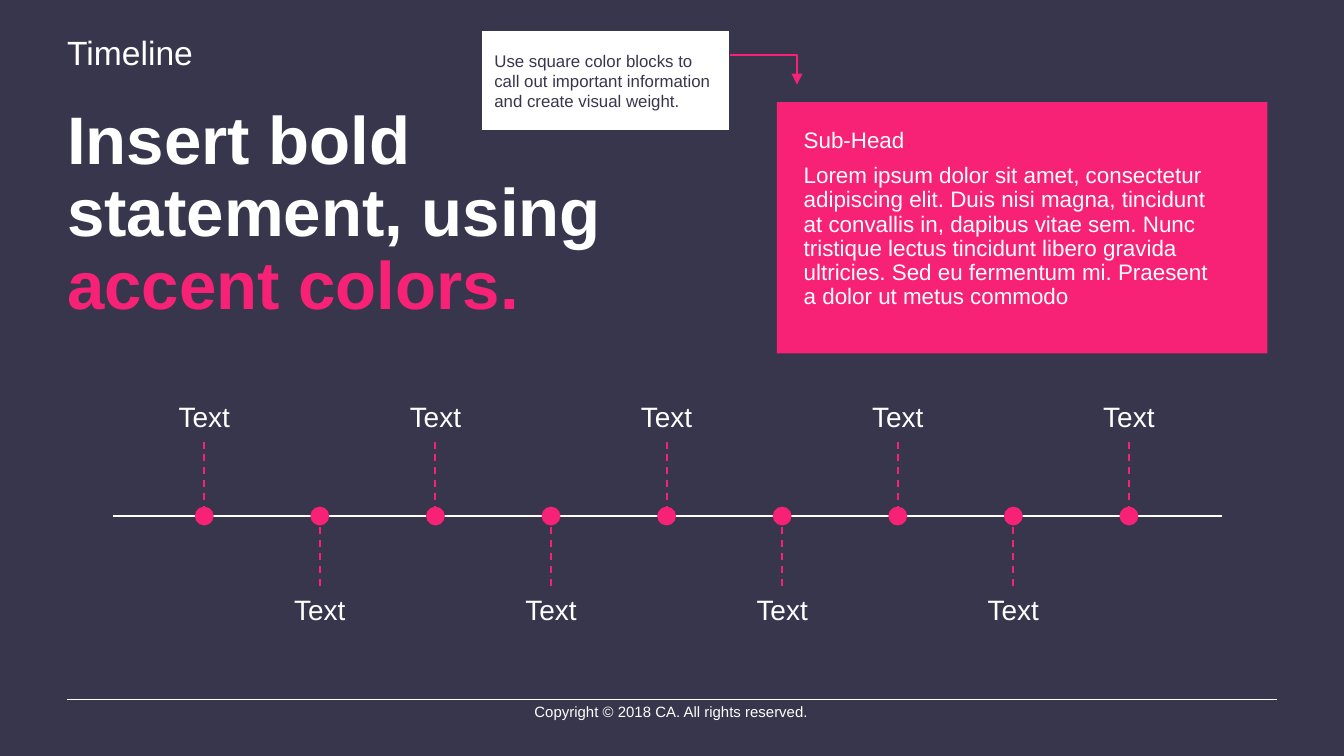
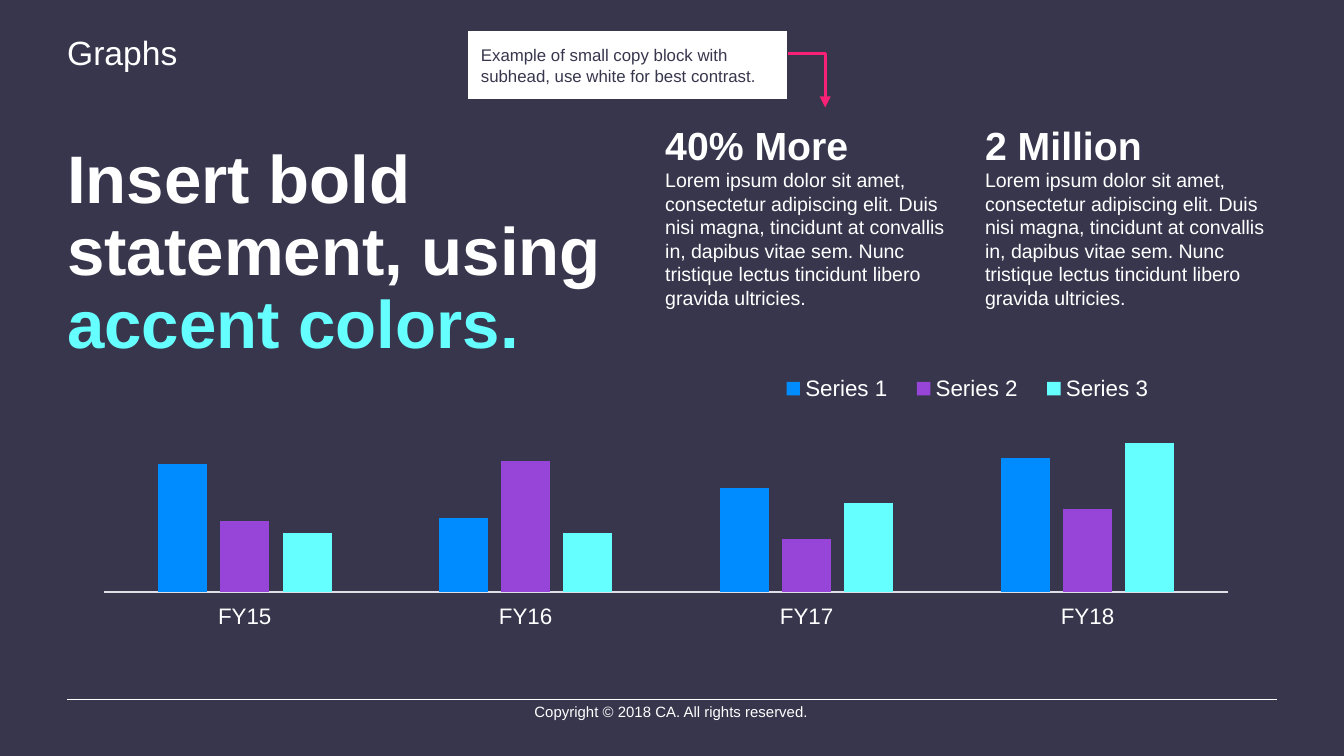
from lxml import etree
from pptx import Presentation
from pptx.chart.data import CategoryChartData
from pptx.dml.color import RGBColor
from pptx.enum.chart import XL_CHART_TYPE, XL_LEGEND_POSITION, XL_TICK_LABEL_POSITION, XL_TICK_MARK
from pptx.enum.dml import MSO_LINE
from pptx.enum.shapes import MSO_CONNECTOR, MSO_SHAPE
from pptx.enum.text import MSO_ANCHOR, MSO_AUTO_SIZE, PP_ALIGN
from pptx.oxml.ns import qn
from pptx.util import Inches, Pt

COLUMNS = XL_CHART_TYPE.COLUMN_CLUSTERED
CORNER = XL_LEGEND_POSITION.CORNER
LOW_LABELS = XL_TICK_LABEL_POSITION.LOW
NO_TICKS = XL_TICK_MARK.NONE
DASH = MSO_LINE.DASH
STRAIGHT, ELBOW = MSO_CONNECTOR.STRAIGHT, MSO_CONNECTOR.ELBOW
RECTANGLE, OVAL = MSO_SHAPE.RECTANGLE, MSO_SHAPE.OVAL
TOP, MIDDLE, BOTTOM = MSO_ANCHOR.TOP, MSO_ANCHOR.MIDDLE, MSO_ANCHOR.BOTTOM
GROW, FIXED = MSO_AUTO_SIZE.SHAPE_TO_FIT_TEXT, MSO_AUTO_SIZE.NONE
LEFT, CENTER = PP_ALIGN.LEFT, PP_ALIGN.CENTER

FONT = "Arial"
COLORS = {
    "background": "38364D",
    "white": "FFFFFF",
    "pink": "F72175",
    "cyan": "66FFFF",
    "blue": "008CFF",
    "purple": "9745D8",
    "axis": "DEDEE8",
}
TITLE_ONLY_LAYOUT = 5
LOREM = ("Lorem ipsum dolor sit amet, consectetur adipiscing elit. Duis nisi magna, "
         "tincidunt at convallis in, dapibus vitae sem. Nunc tristique lectus "
         "tincidunt libero gravida ultricies.")
CARD_TEXT = ("Lorem ipsum dolor sit amet, consectetur adipiscing elit. Duis nisi magna, "
             "tincidunt\nat convallis in, dapibus vitae sem. Nunc tristique lectus "
             "tincidunt libero gravida ultricies. Sed eu fermentum mi. Praesent\n"
             "a dolor ut metus commodo")


def color(name):
    return RGBColor.from_string(COLORS[name])


def set_font(font, size, color_name="white", bold=False):
    font.name, font.size, font.bold = FONT, Pt(size), bold
    font.color.rgb = color(color_name)


def set_chart_layout(element, index, x, y, width, height, inner=False):
    """Place a plot area or legend by fractions of the chart frame."""
    for old in element.findall(qn("c:layout")):
        element.remove(old)
    layout = etree.Element(qn("c:layout"))
    manual = etree.SubElement(layout, qn("c:manualLayout"))
    settings = [("xMode", "edge"), ("yMode", "edge"),
                ("x", x), ("y", y), ("w", width), ("h", height)]
    if inner:
        settings.insert(0, ("layoutTarget", "inner"))
    for tag, value in settings:
        etree.SubElement(manual, qn(f"c:{tag}")).set("val", str(value))
    element.insert(index, layout)


def no_fill_properties():
    properties = etree.Element(qn("c:spPr"))
    etree.SubElement(properties, qn("a:noFill"))
    line = etree.SubElement(properties, qn("a:ln"))
    etree.SubElement(line, qn("a:noFill"))
    return properties


class Deck:
    """Holds the shared style and the slide being built."""

    def __init__(self):
        self.presentation = Presentation()
        self.presentation.slide_width = Inches(10)
        self.presentation.slide_height = Inches(10) * 9 // 16
        fill = self.presentation.slide_master.background.fill
        fill.solid()
        fill.fore_color.rgb = color("background")
        self.slide = None

    def start_slide(self, topic, title_top, accent):
        layout = self.presentation.slide_layouts[TITLE_ONLY_LAYOUT]
        self.slide = self.presentation.slides.add_slide(layout)
        self.line((0.5, 5.2), (9.5, 5.2), "white", 0.25)
        self.text((3.89, 5.19, 2.21, 0.22), [("Copyright © 2018 CA. All rights reserved.", 8, False)],
                  insets=(0.04,) * 4, align=CENTER, grow=True, wrap=False)
        self.text((0.5, 0.24, 8.99, 0.3), [(topic, 18, False)], insets=(0, 0, 0.1, 0), grow=True)
        self.title(title_top, accent)

    def title(self, top, accent):
        title = self.slide.shapes.title
        self.place(title, (0.5, top, 4.5, 1.19))
        self.set_frame(title.text_frame, (0, 0.05, 0.1, 0.05), TOP, grow=True)
        paragraph = title.text_frame.paragraphs[0]
        paragraph.alignment = LEFT
        paragraph.line_spacing = 0.9
        for text, color_name in (("Insert bold statement, using ", "white"), ("accent colors.", accent)):
            run = paragraph.add_run()
            run.text = text
            set_font(run.font, 36, color_name, bold=True)

    @staticmethod
    def place(shape, box):
        shape.left, shape.top, shape.width, shape.height = map(Inches, box)

    @staticmethod
    def set_frame(frame, insets, anchor, grow=False, wrap=True):
        frame.margin_left, frame.margin_top, frame.margin_right, frame.margin_bottom = map(Inches, insets)
        frame.vertical_anchor = anchor
        frame.word_wrap = wrap
        frame.auto_size = GROW if grow else FIXED

    @staticmethod
    def fill_text(frame, lines, color_name="white", align=LEFT):
        """Write (text, size, bold) tuples, one paragraph each."""
        for index, (text, size, bold) in enumerate(lines):
            paragraph = frame.add_paragraph() if index else frame.paragraphs[0]
            paragraph.text = text
            paragraph.alignment = align
            for run in paragraph.runs:
                set_font(run.font, size, color_name, bold)

    def text(self, box, lines, insets, anchor=TOP, align=LEFT, grow=False, wrap=True):
        frame = self.slide.shapes.add_textbox(*map(Inches, box)).text_frame
        self.set_frame(frame, insets, anchor, grow, wrap)
        self.fill_text(frame, lines, align=align)

    def shape(self, kind, box, fill):
        shape = self.slide.shapes.add_shape(kind, *map(Inches, box))
        shape.shadow.inherit = False
        shape.fill.solid()
        shape.fill.fore_color.rgb = color(fill)
        shape.line.fill.background()
        return shape

    def callout(self, box, text):
        block = self.shape(RECTANGLE, box, "white")
        block.line.color.rgb = color("background")
        block.line.width = Pt(0.5)
        self.set_frame(block.text_frame, (0.1, 0.05, 0.1, 0.05), MIDDLE)
        self.fill_text(block.text_frame, [(text, 9, False)], "background")

    def card(self, box, lines):
        card = self.shape(RECTANGLE, box, "pink")
        self.set_frame(card.text_frame, (0.2,) * 4, TOP, grow=True)
        self.fill_text(card.text_frame, lines)
        for paragraph in card.text_frame.paragraphs:
            paragraph.line_spacing = 0.9
            paragraph.space_after = Pt(6)

    def line(self, start, end, color_name, width, dashed=False, kind=STRAIGHT):
        connector = self.slide.shapes.add_connector(kind, *map(Inches, start + end))
        connector.line.color.rgb = color(color_name)
        connector.line.width = Pt(width)
        if dashed:
            connector.line.dash_style = DASH
        etree.SubElement(connector.element.spPr, qn("a:effectLst"))
        return connector

    def elbow_arrow(self, start, end):
        """Draw an arrow that runs right, then down."""
        properties = self.line(start, end, "pink", 1.5, kind=ELBOW).element.spPr
        properties.find(qn("a:prstGeom")).set("prst", "bentConnector2")
        etree.SubElement(properties.find(qn("a:ln")), qn("a:tailEnd")).set("type", "triangle")

    def column_chart(self, box, categories, series):
        data = CategoryChartData()
        data.categories = categories
        for name, values, _ in series:
            data.add_series(name, values)
        chart = self.slide.shapes.add_chart(COLUMNS, *map(Inches, box), data).chart
        chart.has_title = False
        set_font(chart.font, 10)

        plot = chart.plots[0]
        plot.gap_width, plot.overlap, plot.vary_by_categories = 219, -27, False
        for column, (_, _, color_name) in zip(plot.series, series):
            column.format.fill.solid()
            column.format.fill.fore_color.rgb = color(color_name)

        axis = chart.category_axis
        axis.major_tick_mark = axis.minor_tick_mark = NO_TICKS
        axis.tick_label_position = LOW_LABELS
        axis.format.line.color.rgb = color("axis")
        axis.format.line.width = Pt(0.75)
        set_font(axis.tick_labels.font, 12)
        values_axis = chart.value_axis
        values_axis.minimum_scale, values_axis.maximum_scale = 0, 120
        values_axis.has_major_gridlines = False
        values_axis.visible = False

        chart.has_legend = True
        legend = chart.legend
        legend.position = CORNER
        legend.include_in_layout = False
        set_font(legend.font, 12)

        chart_element = chart.element.find(qn("c:chart"))
        plot_area = chart_element.find(qn("c:plotArea"))
        set_chart_layout(plot_area, 0, 0.01, 0.3, 0.97, 0.57, inner=True)
        set_chart_layout(chart_element.find(qn("c:legend")), 1, 0.58, 0.17, 0.35, 0.1)
        plot_area.append(no_fill_properties())
        chart_element.addnext(no_fill_properties())


def build_timeline(deck):
    deck.start_slide("Timeline", 0.74, "pink")
    deck.line((0.84, 3.84), (9.09, 3.84), "white", 0.75)
    label_width, dot = 1.67, 0.14
    for index in range(9):
        center = 1.52 + 0.86 * index
        above = index % 2 == 0
        start, end, label_top = (3.82, 3.29, 2.73) if above else (4.36, 3.84, 4.17)
        deck.line((center, start), (center, end), "pink", 1, dashed=True)
        deck.shape(OVAL, (center - dot / 2, 3.77, dot, dot), "pink")
        deck.text((center - label_width / 2, label_top, label_width, 0.54), [("Text", 15, False)],
                  insets=(0, 0.05, 0, 0.05), anchor=BOTTOM, align=CENTER)
    deck.elbow_arrow((5.39, 0.41), (5.93, 0.63))
    deck.callout((3.58, 0.23, 1.85, 0.74),
                 "Use square color blocks to call out important information and create visual weight.")
    deck.card((5.78, 0.76, 3.65, 1.87), [("Sub-Head", 12, False), (CARD_TEXT, 12, False)])


def build_graphs(deck):
    deck.start_slide("Graphs", 1.03, "cyan")
    deck.elbow_arrow((5.84, 0.4), (6.14, 0.8))
    deck.column_chart((0.69, 2.38, 8.62, 2.33), ["FY15", "FY16", "FY17", "FY18"], [
        ("Series 1", (86, 50, 70, 90), "blue"),
        ("Series 2", (48, 88, 36, 56), "purple"),
        ("Series 3", (40, 40, 60, 100), "cyan"),
    ])
    deck.callout((3.48, 0.23, 2.38, 0.51),
                 "Example of small copy block with subhead, use white for best contrast.")
    for index, headline in enumerate(("40% More", "2 Million")):
        deck.text((4.89 + 2.38 * index, 0.84, 2.27, 2.11),
                  [(headline, 21, True), (LOREM, 10.5, False)],
                  insets=(0.06, 0.06, 0.04, 0.06))


def main():
    deck = Deck()
    build_timeline(deck)
    build_graphs(deck)
    deck.presentation.save("out.pptx")


if __name__ == "__main__":
    main()
